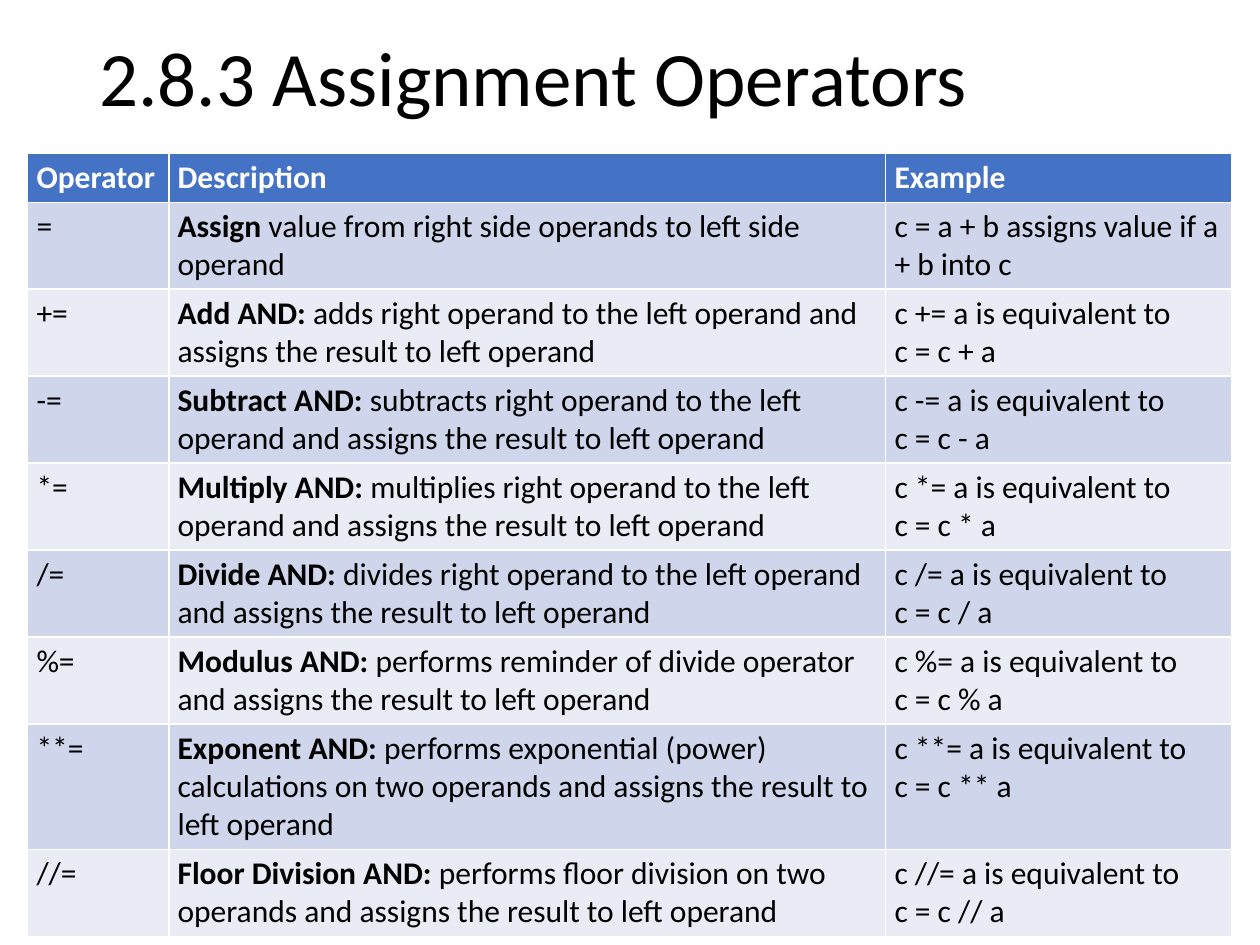
from pptx import Presentation
from pptx.dml.color import RGBColor
from pptx.enum.text import MSO_ANCHOR, MSO_AUTO_SIZE, PP_ALIGN
from pptx.util import Inches, Pt

TITLE = "2.8.3 Assignment Operators"
HEADINGS = ["Operator", "Description", "Example"]
# operator, name of the operation, what it does
OPERATORS = [
    ("=", "Assign", "value from right side operands to left side operand"),
    ("+=", "Add AND:", "adds right operand to the left operand and assigns the result to left operand"),
    ("-=", "Subtract AND:", "subtracts right operand to the left operand and assigns the result to left operand"),
    ("*=", "Multiply AND:", "multiplies right operand to the left operand and assigns the result to left operand"),
    ("/=", "Divide AND:", "divides right operand to the left operand and assigns the result to left operand"),
    ("%=", "Modulus AND:", "performs reminder of divide operator and assigns the result to left operand"),
    ("**=", "Exponent AND:", "performs exponential (power) calculations on two operands "
                             "and assigns the result to left operand"),
    ("//=", "Floor Division AND:", "performs floor division on two operands and assigns the result to left operand"),
]
COLUMN_WIDTHS = [1.12, 5.69, 2.75]
ROW_HEIGHT = 0.3  # rows grow to fit their text
HEADER_FILL = "4472C4"
BAND_FILLS = ["CFD5EA", "E9EBF5"]


def style_font(font, size, color):
    font.name = "Calibri"
    font.size = Pt(size)
    font.color.rgb = RGBColor.from_string(color)


def example_for(operator):
    if operator == "=":
        return "c = a + b assigns value if a + b into c"
    return f"c {operator} a is equivalent to\nc = c {operator[:-1]} a"


def fill_cell(cell, parts, fill, color):
    """Write (text, bold) parts into a cell; a newline starts a paragraph."""
    cell.fill.solid()
    cell.fill.fore_color.rgb = RGBColor.from_string(fill)
    cell.margin_left = cell.margin_right = Inches(0.07)
    cell.margin_top = cell.margin_bottom = Inches(0.04)
    frame = cell.text_frame
    paragraph = frame.paragraphs[0]
    for text, bold in parts:
        for number, line in enumerate(text.split("\n")):
            if number:
                paragraph = frame.add_paragraph()
            run = paragraph.add_run()
            run.text = line
            run.font.bold = bold
            style_font(run.font, 18, color)


def add_title(slide):
    title = slide.shapes.title
    title.left, title.top, title.width, title.height = map(Inches, (0.69, 0.18, 8.62, 0.93))
    frame = title.text_frame
    frame.text = TITLE
    frame.auto_size = MSO_AUTO_SIZE.NONE
    frame.vertical_anchor = MSO_ANCHOR.MIDDLE
    paragraph = frame.paragraphs[0]
    paragraph.alignment = PP_ALIGN.LEFT
    paragraph.line_spacing = 0.9
    style_font(paragraph.font, 44, "000000")


def add_operator_table(slide):
    row_count = len(OPERATORS) + 1
    table = slide.shapes.add_table(
        row_count, len(HEADINGS), Inches(0.22), Inches(1.22),
        Inches(sum(COLUMN_WIDTHS)), Inches(ROW_HEIGHT * row_count)).table
    for column, width in zip(table.columns, COLUMN_WIDTHS):
        column.width = Inches(width)
    for column, heading in enumerate(HEADINGS):
        fill_cell(table.cell(0, column), [(heading, True)], HEADER_FILL, "FFFFFF")
    for index, (operator, name, action) in enumerate(OPERATORS):
        contents = [
            [(operator, False)],
            [(name, True), (f" {action}", False)],
            [(example_for(operator), False)],
        ]
        for column, parts in enumerate(contents):
            fill_cell(table.cell(index + 1, column), parts, BAND_FILLS[index % 2], "000000")


def main():
    presentation = Presentation()
    presentation.slide_width, presentation.slide_height = Inches(10), Inches(7.5)
    slide = presentation.slides.add_slide(presentation.slide_layouts[5])
    add_title(slide)
    add_operator_table(slide)
    presentation.save("out.pptx")


if __name__ == "__main__":
    main()
